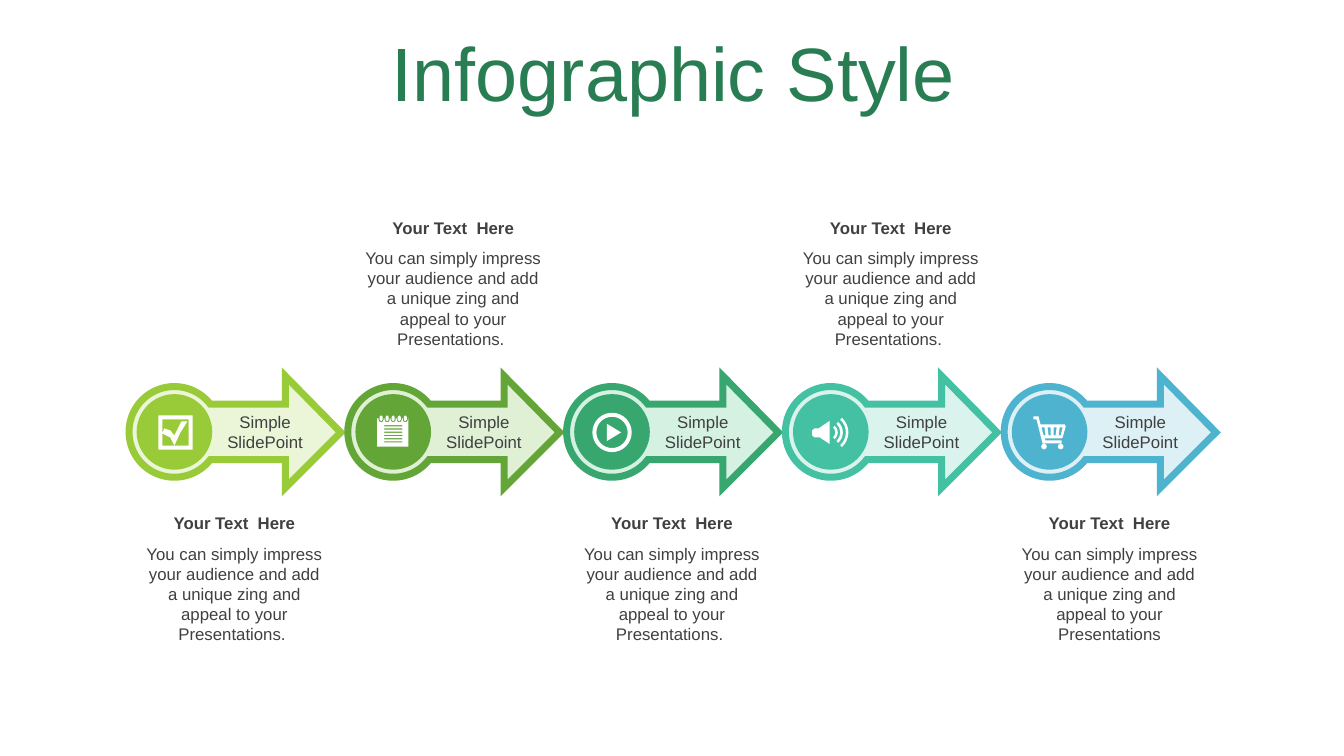
from math import ceil, cos, radians, sin, tan

from lxml import etree
from pptx import Presentation
from pptx.dml.color import RGBColor
from pptx.enum.shapes import MSO_SHAPE
from pptx.enum.text import MSO_ANCHOR, MSO_AUTO_SIZE, PP_ALIGN
from pptx.oxml.ns import qn
from pptx.util import Inches, Pt

OVAL = MSO_SHAPE.OVAL
CENTER = PP_ALIGN.CENTER
TOP, MIDDLE = MSO_ANCHOR.TOP, MSO_ANCHOR.MIDDLE
GROW = MSO_AUTO_SIZE.SHAPE_TO_FIT_TEXT

SLIDE_W, SLIDE_H = 13.33, 7.5
FIRST_HUB, STAGE_PITCH = 1.73, 2.17  # centre of the first disc, step between stages
HUB_Y = 4.29
DISC, DISC_TOP = 0.75, 3.91
CAPTION_W = 1.99
CAPTION_ROWS = (5.04, 2.11)  # below the arrows, above the arrows
HEADING_H = 0.3

COLORS = {
    "title": "297D53", "text": "404040", "icon": "FFFFFF",
    "lime": "99CB38", "lime_tint": "EBF5D7",
    "leaf": "63A537", "leaf_tint": "DFF0D4",
    "green": "37A76F", "green_tint": "D4F1E2",
    "teal": "44C1A3", "teal_tint": "DAF3ED",
    "blue": "4EB3CF", "blue_tint": "DCF0F5",
}
BODY_FONT = {"name": "Arial", "size": Pt(12)}
HEADING_FONT = {**BODY_FONT, "bold": True}
TITLE_FONT = {"name": "Arial", "size": Pt(54)}

HEADING = "Your Text  Here"
BODY = ("You can simply impress your audience and add a unique zing "
        "and appeal to your Presentations")


# Outlines are lists of points in hundredths of an inch from the hub.
def arc(cx, cy, radius, start, end):
    """Start point, then Bezier triples whose points carry a third item, True."""
    pieces = ceil(abs(end - start) / 90)
    step = radians((end - start) / pieces)
    reach = radius * 4 / 3 * tan(step / 4)

    def on_circle(angle, ahead=0):
        return (cx + radius * cos(angle) - ahead * sin(angle),
                cy + radius * sin(angle) + ahead * cos(angle))

    points = [on_circle(radians(start))]
    for n in range(pieces):
        a, b = radians(start) + n * step, radians(start) + (n + 1) * step
        points += [(*point, True) for point in
                   (on_circle(a, reach), on_circle(b, -reach), on_circle(b))]
    return points


def circle(cx, cy, radius):
    return arc(cx, cy, radius, 0, 360)


def box(left, top, right, bottom):
    return [(left, top), (right, top), (right, bottom), (left, bottom)]


def arrow_outline():
    return [[(110, -56), (165, 0), (110, 55), (110, 27),
             *arc(0, -0.5, 45, 37.7, 322.3), (110, -28)]]


def checkbox_icon():
    tick = [(-12, 1), (-10, -4), (-4, -2), (0, 3), (7, -11), (13, -11),
            (6, 0), (0, 13), (-4, 5)]
    return [box(-16, -17, 18, 17), box(-12, -13, 14, 13), tick]


def notepad_icon():
    ring_centers = range(-12, 13, 6)
    sheet = [(-16, -14)]
    for x in ring_centers:
        sheet += [(x - 2.5, -14), *arc(x, -12.5, 2.5, 180, 0), (x + 2.5, -14)]
    sheet += [(15, -14), (15, 14), (-16, 14)]
    rings = [arc(x, -15.5, 1.5, 180, 360) + arc(x, -12.5, 1.5, 0, 180)
             for x in ring_centers]
    rules = [box(-9, -7.2 + 3.2 * n, 9, -6 + 3.2 * n) for n in range(6)]
    return [sheet, *rings, *rules]


def play_icon():
    triangle = [(-5, -8.5), (9, 0), (-5, 8.5)]
    return [circle(0, 0, 19.5), circle(0, 0, 15.5), triangle]


def speaker_icon():
    cone = [(-1, -11.5), (-1, 11.5), (-11, 5), (-16, 5), (-18.5, 3),
            (-18.5, -2), (-16, -4), (-12, -4)]
    waves = [arc(-2, 0, radius, -48, 48) + arc(-2, 0, radius - 2.5, 48, -48)
             for radius in (9, 14, 19.5)]
    return [cone, *waves]


def cart_icon():
    frame = [(-11, -16), (-9, -8), (15, -8), (16, -6), (13, 5), (12, 6), (-5, 6),
             (-4, 8), (12, 8), (12, 11), (-7, 11), (-13, -13), (-16, -13), (-16, -16)]
    slots = [[(-8, -5), (-6, 3), (-4, 3), (-5, -5)],
             [(-2, -5), (-1, 3), (1, 3), (1, -5)],
             [(4, -5), (4, 3), (6, 3), (7, -5)],
             [(10, -5), (9, 3), (11, 3), (13, -5)]]
    return [frame, *slots, circle(-5.5, 14, 2.8), circle(11, 14, 2.8)]


STAGES = [("lime", checkbox_icon), ("leaf", notepad_icon), ("green", play_icon),
          ("teal", speaker_icon), ("blue", cart_icon)]


def rgb(color):
    return RGBColor.from_string(COLORS[color])


def paint(shape, fill, line=None):
    shape.shadow.inherit = False
    shape.fill.solid()
    shape.fill.fore_color.rgb = rgb(fill)
    if line is None:
        shape.line.fill.background()
        return
    shape.line.color.rgb = rgb(line)
    shape.line.width = Pt(5)
    stroke = shape._element.spPr.find(qn("a:ln"))
    etree.SubElement(stroke, qn("a:miter")).set("lim", "800000")


def bend(shape, points):
    """Join each three line steps that stand for a Bezier triple into one curve."""
    steps = list(shape._element.spPr.iter(qn("a:moveTo"), qn("a:lnTo")))
    marked = [step for step, point in zip(steps, points) if len(point) == 3]
    for first in range(0, len(marked), 3):
        triple = marked[first:first + 3]
        curve = etree.Element(qn("a:cubicBezTo"))
        triple[0].addprevious(curve)
        for step in triple:
            curve.append(step[0])
            step.getparent().remove(step)


def add_outline(shapes, hub_x, contours, fill, line=None):
    """Draw contours around a hub; a contour inside another cuts a hole."""
    placed = [[(Inches(hub_x + point[0] / 100), Inches(HUB_Y + point[1] / 100))
               for point in contour] for contour in contours]
    builder = shapes.build_freeform(*placed[0][0])
    builder.add_line_segments(placed[0][1:])
    for contour in placed[1:]:
        builder.move_to(*contour[0])
        builder.add_line_segments(contour[1:])
    outline = builder.convert_to_shape()
    bend(outline, sum(contours, []))
    paint(outline, fill, line)


def add_text(shapes, place, text, font, color="text", anchor=TOP):
    frame = shapes.add_textbox(*map(Inches, place)).text_frame
    frame.word_wrap = True
    frame.vertical_anchor = anchor
    paragraph = frame.paragraphs[0]
    paragraph.alignment = CENTER
    run = paragraph.add_run()
    run.text = text
    for attribute, value in font.items():
        setattr(run.font, attribute, value)
    run.font.color.rgb = rgb(color)
    return frame


def add_arrow(slide, hub_x, color):
    shapes = slide.shapes.add_group_shape().shapes
    add_outline(shapes, hub_x, arrow_outline(), f"{color}_tint", color)
    disc_place = (hub_x - DISC / 2, DISC_TOP, DISC, DISC)
    paint(shapes.add_shape(OVAL, *map(Inches, disc_place)), color)


def add_caption(slide, hub_x, top, body):
    shapes = slide.shapes.add_group_shape().shapes
    left = hub_x - 0.4
    for place, text, font in (
        ((left, top, CAPTION_W, HEADING_H), HEADING, HEADING_FONT),
        ((left, top + HEADING_H, CAPTION_W, 1.11), body, BODY_FONT),
    ):
        add_text(shapes, place, text, font).auto_size = GROW


def main():
    deck = Presentation()
    deck.slide_width, deck.slide_height = Inches(SLIDE_W), Inches(SLIDE_H)
    slide = deck.slides.add_slide(deck.slide_layouts[6])
    title = add_text(slide.shapes, (0.35, 0.37, 12.66, 0.79), "Infographic Style",
                     TITLE_FONT, "title", MIDDLE)
    title.paragraphs[0].line_spacing = 0.9
    for index, (color, icon) in enumerate(STAGES):
        hub_x = FIRST_HUB + index * STAGE_PITCH
        ending = "" if index == len(STAGES) - 1 else ". "
        add_arrow(slide, hub_x, color)
        add_outline(slide.shapes, hub_x, icon(), "icon")
        label = add_text(slide.shapes, (hub_x + 0.37, 4.03, 1.06, 0.5),
                         "Simple SlidePoint", BODY_FONT, anchor=MIDDLE)
        label.auto_size = GROW
        add_caption(slide, hub_x, CAPTION_ROWS[index % 2], BODY + ending)
    deck.save("out.pptx")


if __name__ == "__main__":
    main()
